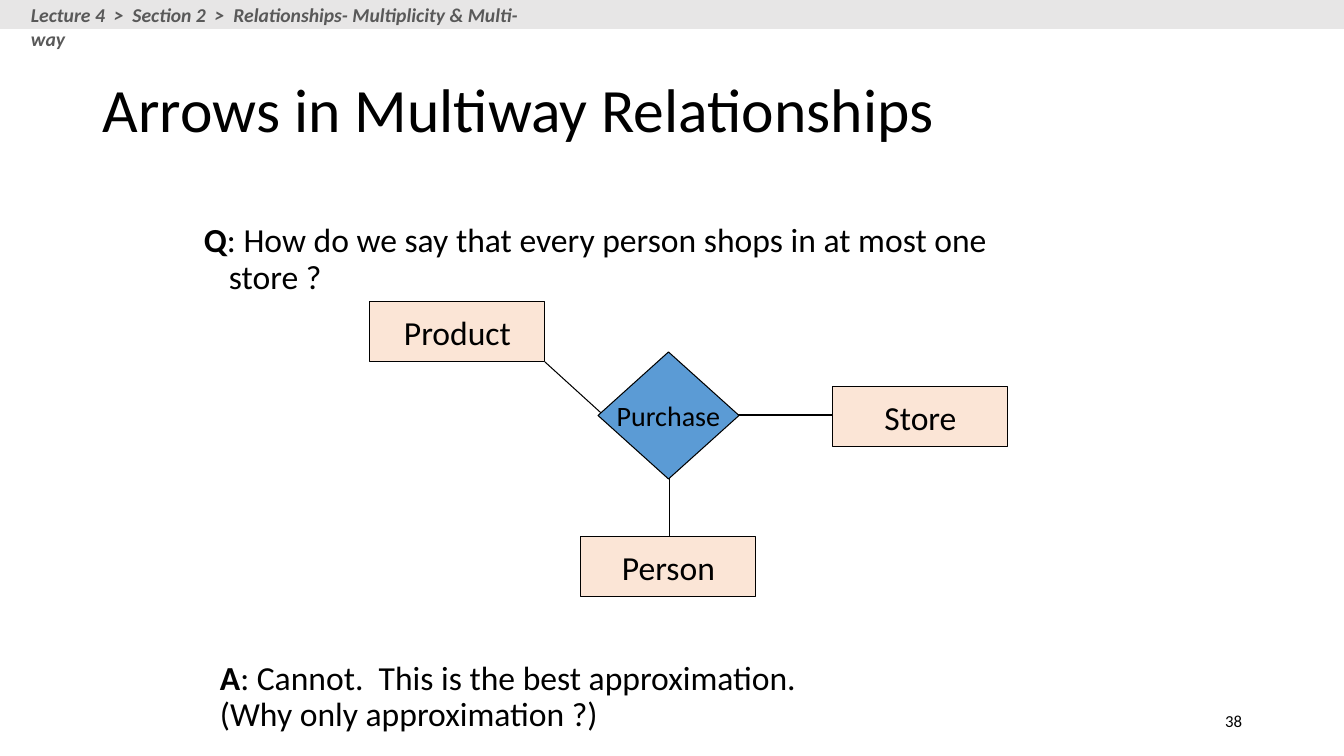
import pptx
import pptx.util
import pptx.dml.color
import pptx.enum.shapes
import pptx.enum.text
import pptx.oxml

PX = 914400 / 100.8
INK = "000000"
FONT = "Calibri"

BAR = (0, 0, 1344, 29)
TEXTS = [
    ([("Lecture 4  >  Section 2  >  Relationships- Multiplicity & Multi-way", True)],
     (21, -2, 525, 34), dict(size=14, color="595959", slant=True)),
    ([("Arrows in Multiway Relationships", False)],
     (93, 40, 1159, 146), dict(size=44, mid=True, space=0.9)),
    ([("Q", True), (": How do we say that every person shops in at most one store ?", False)],
     (194, 219, 850, 46), dict(space=0.9, hang=25)),
    ([("A", True), (": Cannot.  This is the best approximation.\n(Why only approximation ?)", False)],
     (210, 656, 604, 84), dict(space=0.9)),
    ([("38", False)], (950, 701, 302, 40), dict(size=12, mid=True, align="RIGHT")),
]
BOX = (175, 60)
NODES = [("Product", 370, 302), ("Person", 581, 537), ("Store", 833, 387)]
LINKS = [(731, 415, 833, 415), (670, 477, 670, 537), (545, 362, 611, 422)]
CORE = ("Purchase", (598, 352, 141, 127))


def emu(px):
    return pptx.util.Emu(round(px * PX))


def rgb(code):
    return pptx.dml.color.RGBColor.from_string(code)


def write(shape, runs, size=24, color=INK, slant=False, mid=False,
          align="LEFT", space=None, hang=0, wrap=True):
    frame = shape.text_frame
    frame.word_wrap = wrap
    anchor = pptx.enum.text.MSO_ANCHOR
    frame.vertical_anchor = anchor.MIDDLE if mid else anchor.TOP
    para = frame.paragraphs[0]
    para.alignment = getattr(pptx.enum.text.PP_ALIGN, align)
    if space:
        para.line_spacing = space
    if hang:
        props = para._p.get_or_add_pPr()
        props.set("marL", str(emu(hang)))
        props.set("indent", str(-emu(hang)))
    for text, bold in runs:
        for row, part in enumerate(text.split("\n")):
            if row:
                para.add_line_break()
            run = para.add_run()
            run.text = part
            font = run.font
            font.name = FONT
            font.size = pptx.util.Pt(size)
            font.bold = bold
            font.italic = slant
            font.color.rgb = rgb(color)


def draw(kind, place, fill, line=None):
    kind = getattr(pptx.enum.shapes.MSO_SHAPE, kind)
    shape = slide.shapes.add_shape(kind, *map(emu, place))
    shape.shadow.inherit = False
    shape.fill.solid()
    shape.fill.fore_color.rgb = rgb(fill)
    if line:
        shape.line.color.rgb = rgb(line)
        shape.line.width = pptx.util.Pt(0.75)
    else:
        shape.line.fill.background()
    return shape


def link(ends):
    kind = pptx.enum.shapes.MSO_CONNECTOR.STRAIGHT
    line = slide.shapes.add_connector(kind, *map(emu, ends))
    line.line.color.rgb = rgb(INK)
    line.line.width = pptx.util.Pt(0.75)
    space = pptx.oxml.ns.nsdecls("a")
    line._element.spPr.append(pptx.oxml.parse_xml(f"<a:effectLst {space}/>"))


deck = pptx.Presentation()
deck.slide_width, deck.slide_height = emu(1344), emu(756)
slide = deck.slides.add_slide(deck.slide_layouts[6])

draw("RECTANGLE", BAR, "E7E6E6")
for runs, place, style in TEXTS:
    write(slide.shapes.add_textbox(*map(emu, place)), runs, **style)

for name, left, top in NODES:
    node = draw("RECTANGLE", (left, top, *BOX), "FBE5D6", INK)
    write(node, [(name, False)], mid=True, align="CENTER", wrap=False)
for ends in LINKS:
    link(ends)
name, place = CORE
write(draw("DIAMOND", place, "5B9BD5", INK), [(name, False)],
      size=20, mid=True, align="CENTER", wrap=False)

deck.save("out.pptx")
